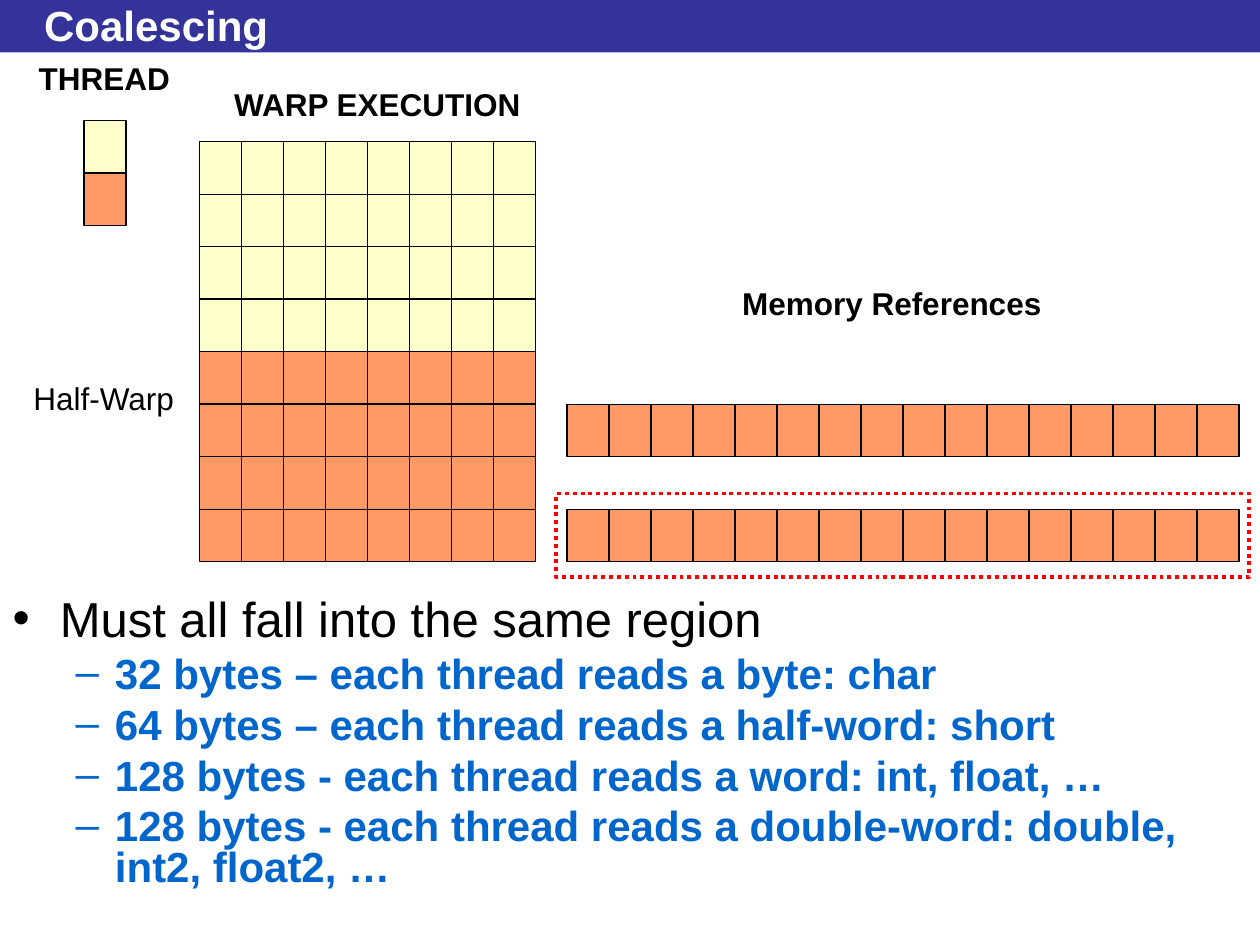
from dataclasses import dataclass
from itertools import product

from lxml import etree
from pptx import Presentation
from pptx.dml.color import RGBColor
from pptx.enum import dml, shapes, text
from pptx.oxml import ns
from pptx.util import Pt

PX = 9525
CELL_W, CELL_H = 32, 40
FACE = "Arial"
BLACK = RGBColor(0x00, 0x00, 0x00)
WHITE = RGBColor(0xFF, 0xFF, 0xFF)
NAVY = RGBColor(0x33, 0x33, 0x99)
BLUE = RGBColor(0x00, 0x66, 0xCC)
CREAM = RGBColor(0xFF, 0xFF, 0xCC)
CORAL = RGBColor(0xFF, 0x99, 0x66)
RED = RGBColor(0xFF, 0x00, 0x00)


@dataclass
class Box:
    left: int
    top: int
    width: int
    height: int

    def emu(self) -> list[int]:
        return [n * PX for n in (self.left, self.top, self.width, self.height)]


@dataclass
class Grid:
    left: int
    top: int
    cols: int
    rows: int
    fill: RGBColor


@dataclass
class Label:
    words: str
    box: Box
    bold: bool = True
    align: text.PP_ALIGN = text.PP_ALIGN.CENTER


@dataclass
class Style:
    mark: str
    color: RGBColor
    size: int
    bold: bool
    margin: int
    hang: int


STYLES = [
    Style("•", BLACK, 28, False, 36, 36),
    Style("–", BLUE, 24, True, 78, 30),
]
ITEMS = [
    (0, "Must all fall into the same region"),
    (1, "32 bytes – each thread reads a byte: char"),
    (1, "64 bytes – each thread reads a half-word: short"),
    (1, "128 bytes - each thread reads a word: int, float, …"),
    (1, "128 bytes - each thread reads a double-word: double, int2, float2, …"),
]
GRIDS = [
    Grid(64, 92, 1, 1, CREAM),
    Grid(64, 132, 1, 1, CORAL),
    Grid(152, 108, 8, 4, CREAM),
    Grid(152, 268, 8, 4, CORAL),
    Grid(432, 308, 16, 1, CORAL),
    Grid(432, 388, 16, 1, CORAL),
]
LABELS = [
    Label("THREAD", Box(20, 40, 119, 38)),
    Label("WARP EXECUTION", Box(168, 60, 239, 38)),
    Label("Memory References", Box(556, 212, 247, 38)),
    Label("Half-Warp", Box(16, 284, 127, 38), False, text.PP_ALIGN.LEFT),
]


def style(para, size: int, color: RGBColor, bold: bool) -> None:
    font = para.font
    font.name, font.size, font.bold = FACE, Pt(size), bold
    font.color.rgb = color


def place(shape, box: Box) -> None:
    shape.left, shape.top, shape.width, shape.height = box.emu()


def rect(slide, box: Box, fill: RGBColor | None, line: RGBColor | None, width: float = 0.75):
    shape = slide.shapes.add_shape(shapes.MSO_SHAPE.RECTANGLE, *box.emu())
    shape.shadow.inherit = False
    if fill is None:
        shape.fill.background()
    else:
        shape.fill.solid()
        shape.fill.fore_color.rgb = fill
    if line is None:
        shape.line.fill.background()
    else:
        shape.line.color.rgb = line
        shape.line.width = Pt(width)
    return shape


def draw_grid(slide, grid: Grid) -> None:
    for row, col in product(range(grid.rows), range(grid.cols)):
        box = Box(grid.left + col * CELL_W, grid.top + row * CELL_H, CELL_W, CELL_H)
        rect(slide, box, grid.fill, BLACK)


def draw_label(slide, label: Label) -> None:
    frame = slide.shapes.add_textbox(*label.box.emu()).text_frame
    frame.word_wrap = False
    frame.auto_size = text.MSO_AUTO_SIZE.SHAPE_TO_FIT_TEXT
    para = frame.paragraphs[0]
    para.text, para.alignment = label.words, label.align
    style(para, 18, BLACK, label.bold)


def add_mark(para, look: Style) -> None:
    props = para._p.get_or_add_pPr()
    props.set("marL", str(look.margin * PX))
    props.set("indent", str(-look.hang * PX))
    tint = etree.SubElement(props, ns.qn("a:buClr"))
    etree.SubElement(tint, ns.qn("a:srgbClr"), val=str(look.color))
    etree.SubElement(props, ns.qn("a:buFont"), typeface=FACE)
    etree.SubElement(props, ns.qn("a:buChar"), char=look.mark)


def fill_title(title) -> None:
    place(title, Box(24, 5, 888, 27))
    frame = title.text_frame
    frame.auto_size = text.MSO_AUTO_SIZE.NONE
    frame.vertical_anchor = text.MSO_ANCHOR.MIDDLE
    para = frame.paragraphs[0]
    para.text, para.alignment = "Coalescing", text.PP_ALIGN.LEFT
    style(para, 24, WHITE, True)


def fill_body(body) -> None:
    place(body, Box(0, 452, 960, 232))
    frame = body.text_frame
    frame.auto_size = text.MSO_AUTO_SIZE.NONE
    for num, (level, words) in enumerate(ITEMS):
        para = frame.add_paragraph() if num else frame.paragraphs[0]
        look = STYLES[level]
        para.text, para.level = words, level
        add_mark(para, look)
        para.line_spacing = 0.8
        para.space_before = Pt(6 if num else 0)
        style(para, look.size, look.color, look.bold)


def main() -> None:
    deck = Presentation()
    deck.slide_width, deck.slide_height = 960 * PX, 720 * PX
    slide = deck.slides.add_slide(deck.slide_layouts[1])
    bar = rect(slide, Box(0, 0, 960, 40), NAVY, None)
    slide.shapes._spTree.insert(2, bar._element)
    fill_title(slide.shapes.title)
    fill_body(slide.placeholders[1])
    for grid in GRIDS:
        draw_grid(slide, grid)
    for label in LABELS:
        draw_label(slide, label)
    frame = rect(slide, Box(424, 376, 528, 64), None, RED, 2.25)
    frame.line.dash_style = dml.MSO_LINE.ROUND_DOT
    deck.save("out.pptx")


if __name__ == "__main__":
    main()
